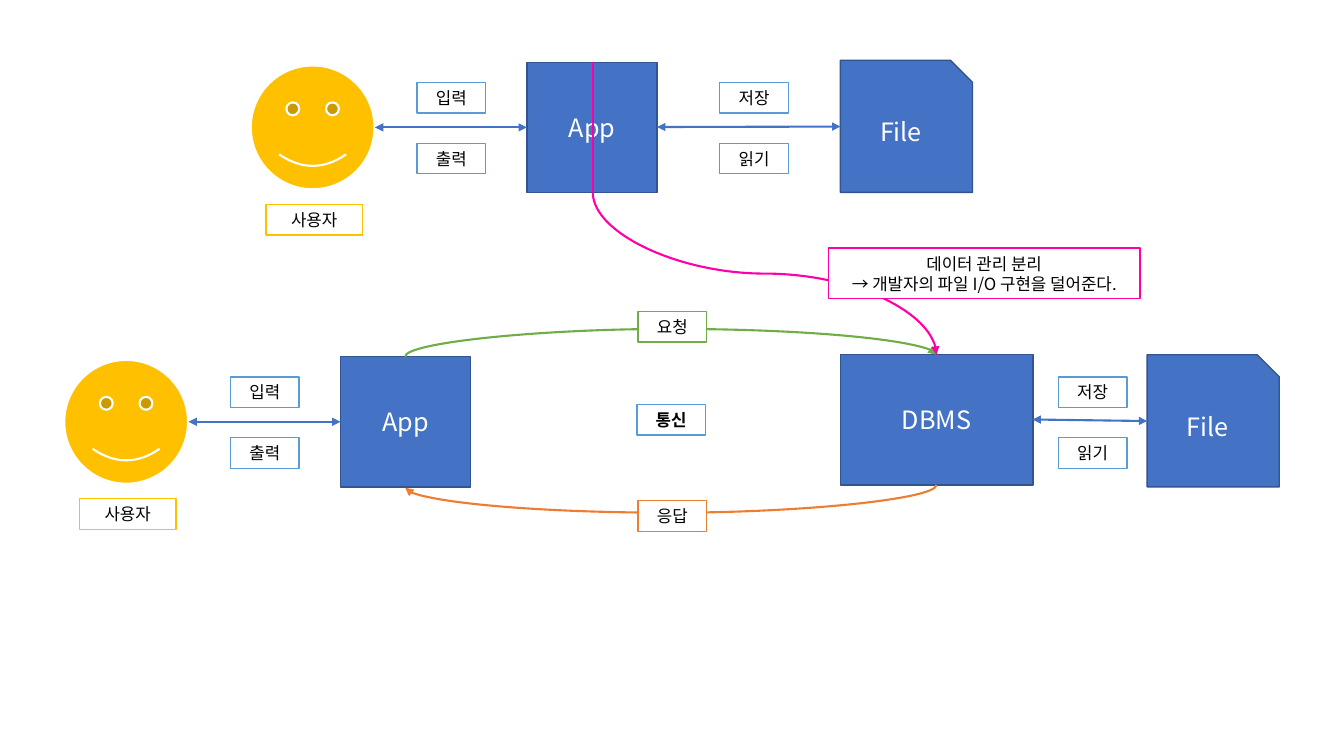
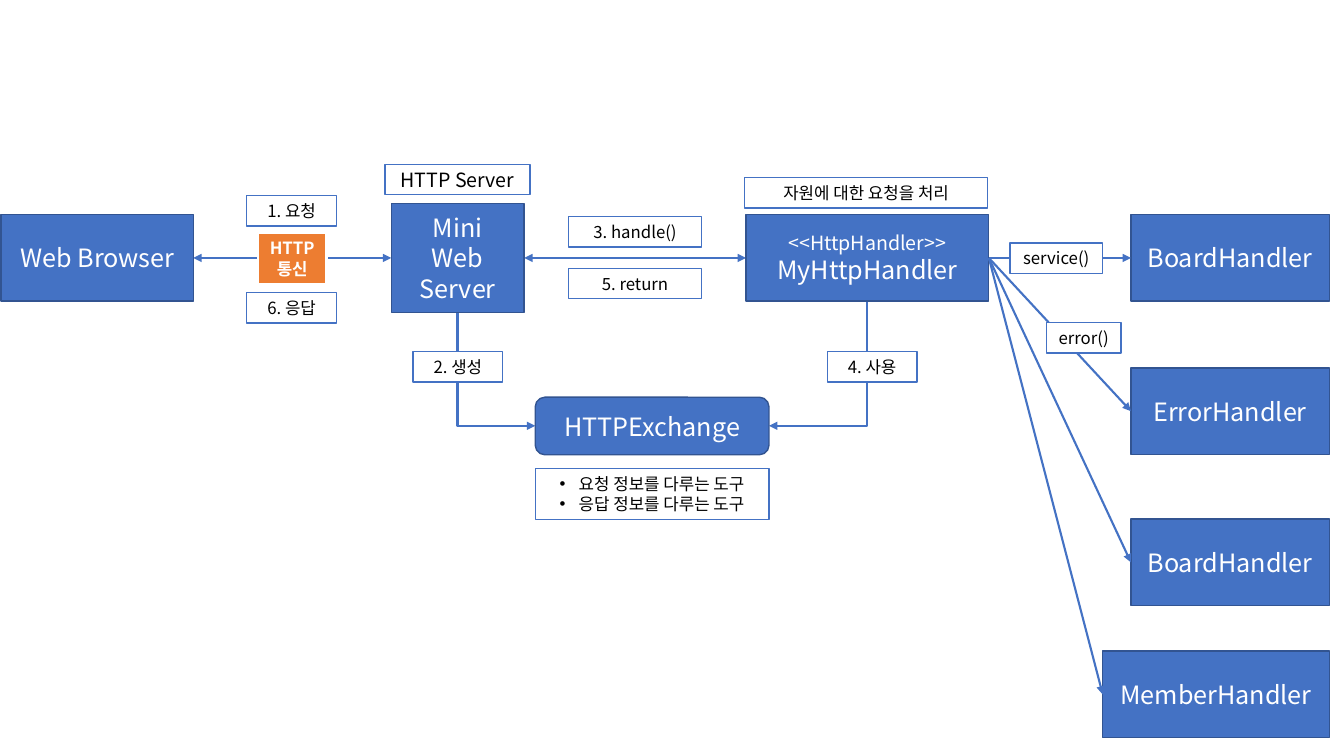
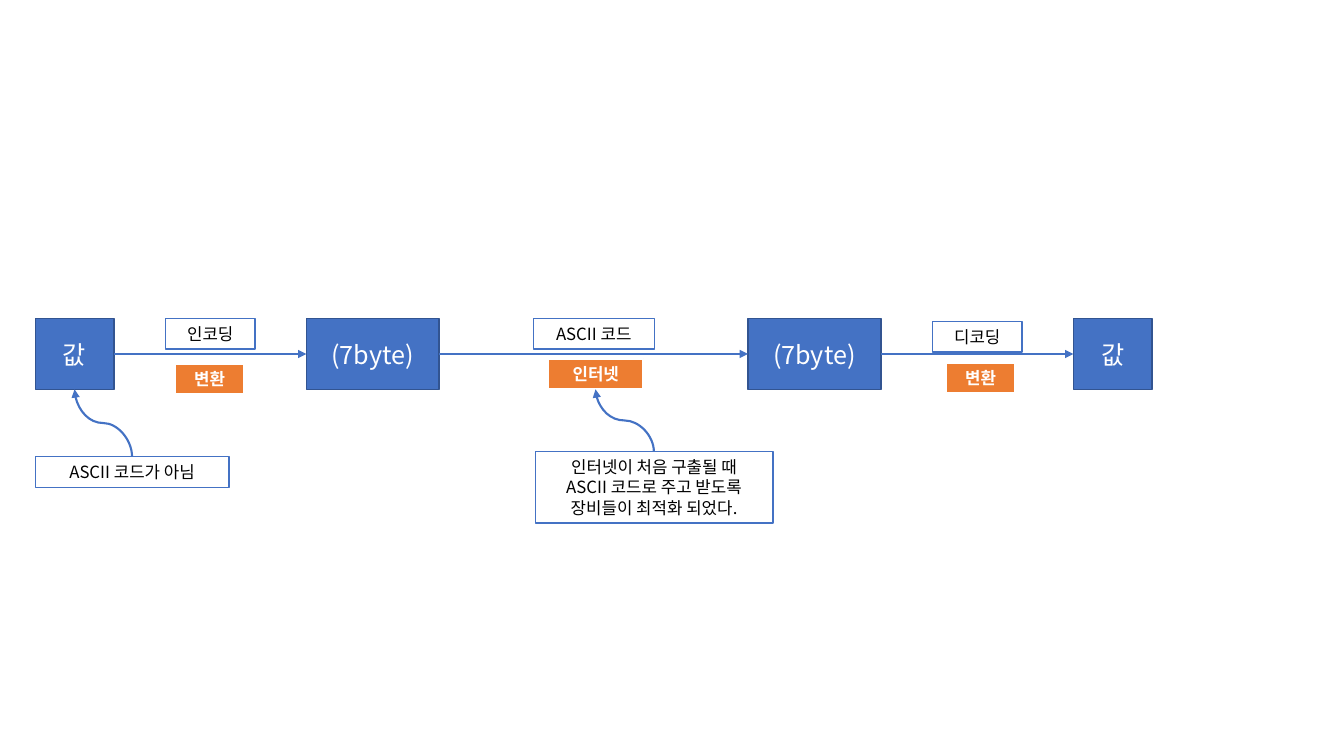
from itertools import pairwise

from lxml.etree import SubElement
from pptx import Presentation
from pptx.dml.color import RGBColor
from pptx.enum.shapes import MSO_CONNECTOR, MSO_SHAPE
from pptx.enum.text import MSO_ANCHOR, PP_ALIGN
from pptx.oxml.ns import qn
from pptx.util import Cm, Pt

BLUE = RGBColor(0x44, 0x72, 0xC4)
NAVY = RGBColor(0x32, 0x54, 0x91)
SKY = RGBColor(0x5B, 0x9B, 0xD5)
GREEN = RGBColor(0x70, 0xAD, 0x47)
ORANGE = RGBColor(0xED, 0x7D, 0x31)
YELLOW = RGBColor(0xFF, 0xC0, 0x00)
PINK = RGBColor(0xFF, 0x00, 0xA8)
WHITE = RGBColor(0xFF, 0xFF, 0xFF)
BLACK = RGBColor(0x00, 0x00, 0x00)
FONT = "Noto Sans CJK KR"


class Diagram:
    """Holds the presentation, its style and the slide being drawn."""

    def __init__(self):
        self.presentation = Presentation()
        self.presentation.slide_width = Cm(33.87)
        self.presentation.slide_height = Cm(19.05)
        self.slide = None

    def new_slide(self):
        layout = self.presentation.slide_layouts[6]
        self.slide = self.presentation.slides.add_slide(layout)

    def shape(self, kind, left, top, width, height, fill, outline, line_width=1):
        shape = self.slide.shapes.add_shape(
            kind, Cm(left), Cm(top), Cm(width), Cm(height))
        shape.shadow.inherit = False
        shape.fill.solid()
        shape.fill.fore_color.rgb = fill
        shape.line.color.rgb = outline
        shape.line.width = Pt(line_width)
        return shape

    def set_text(self, shape, text, color, sizes, bold=False, bullets=False):
        """Set one paragraph per line; the last size serves the remaining lines."""
        frame = shape.text_frame
        frame.text = text
        frame.word_wrap = True
        frame.vertical_anchor = MSO_ANCHOR.MIDDLE
        for index, paragraph in enumerate(frame.paragraphs):
            paragraph.alignment = PP_ALIGN.CENTER
            if bullets:
                properties = paragraph._p.get_or_add_pPr()
                properties.set("marL", str(Cm(0.48)))
                properties.set("indent", str(-Cm(0.48)))
                SubElement(properties, qn("a:buFont"), typeface="Arial")
                SubElement(properties, qn("a:buChar"), char="•")
            for run in paragraph.runs:
                run.font.size = Pt(sizes[min(index, len(sizes) - 1)])
                run.font.bold = bold
                run.font.color.rgb = color
                run.font.name = FONT
                SubElement(run._r.get_or_add_rPr(), qn("a:ea"), typeface=FONT)

    def block(self, text, left, top, width, height, kind=MSO_SHAPE.RECTANGLE, sizes=(18,)):
        shape = self.shape(kind, left, top, width, height, BLUE, NAVY)
        self.set_text(shape, text, WHITE, sizes)

    def label(self, text, left, top, width, height=0.77, outline=BLUE, size=12,
              bold=False, bullets=False):
        shape = self.shape(MSO_SHAPE.RECTANGLE, left, top, width, height, WHITE, outline)
        self.set_text(shape, text, BLACK, (size,), bold, bullets)

    def badge(self, text, left, top, width, height=0.77):
        shape = self.shape(MSO_SHAPE.RECTANGLE, left, top, width, height, ORANGE, WHITE, 1.5)
        self.set_text(shape, text, WHITE, (12,), bold=True)

    def connector(self, kind, start, end, color, head, tail):
        connector = self.slide.shapes.add_connector(
            kind, *(Cm(value) for value in (*start, *end)))
        connector.line.color.rgb = color
        connector.line.width = Pt(1.5)
        properties = connector._element.spPr
        line = properties.find(qn("a:ln"))
        if head:
            SubElement(line, qn("a:headEnd"), type="triangle")
        if tail:
            SubElement(line, qn("a:tailEnd"), type="triangle")
        SubElement(properties, qn("a:effectLst"))
        return connector

    def line(self, start, end, color=BLUE, head=False, tail=True):
        self.connector(MSO_CONNECTOR.STRAIGHT, start, end, color, head, tail)

    def upright(self, kind, start, end, color=BLUE):
        """Draw a connector that leaves vertically: lay it flat, then turn it 90 degrees."""
        middle_x, middle_y = (start[0] + end[0]) / 2, (start[1] + end[1]) / 2
        half_x, half_y = (end[0] - start[0]) / 2, (end[1] - start[1]) / 2
        connector = self.connector(
            kind, (middle_x - half_y, middle_y + half_x),
            (middle_x + half_y, middle_y - half_x), color, False, True)
        properties = connector._element.spPr
        properties.find(qn("a:xfrm")).set("rot", "5400000")
        return properties.find(qn("a:prstGeom"))

    def curve(self, start, end, color=BLUE, bulge=None):
        geometry = self.upright(MSO_CONNECTOR.CURVE, start, end, color)
        if bulge:
            ratio = round(bulge / abs(end[1] - start[1]) * 100000)
            adjustments = geometry.find(qn("a:avLst"))
            SubElement(adjustments, qn("a:gd"), name="adj1", fmla=f"val {ratio}")

    def elbow(self, start, end):
        self.upright(MSO_CONNECTOR.ELBOW, start, end).set("prst", "bentConnector2")

    def label_pair(self, texts, left, top):
        for index, text in enumerate(texts):
            self.label(text, left, top + index * 1.53, 1.73, outline=SKY)

    def client(self, left, top):
        """User and application with the exchange between them."""
        self.shape(MSO_SHAPE.SMILEY_FACE, left, top, 3.12, 3.12, YELLOW, WHITE, 1.5)
        self.block("App", left + 6.96, top - 0.08, 3.28, 3.28)
        self.line((left + 3.13, top + 1.56), (left + 6.96, top + 1.56), head=True)
        self.label_pair(("입력", "출력"), left + 4.19, top + 0.43)
        self.label("사용자", left + 0.38, top + 3.5, 2.44, outline=YELLOW)

    def storage(self, left, top, start, label_left):
        """File with the exchange that reaches it from start."""
        self.block("File", left, top, 3.33, 3.33, MSO_SHAPE.SNIP_1_RECTANGLE)
        self.line(start, (left, top + 1.67), head=True)
        self.label_pair(("저장", "읽기"), label_left, top + 0.56)


def draw_dbms(diagram):
    diagram.new_slide()
    diagram.client(6.32, 1.65)
    diagram.storage(21.18, 1.52, (16.56, 3.2), 18.14)
    diagram.client(1.62, 9.07)
    diagram.block("DBMS", 21.18, 8.94, 4.85, 3.28)
    diagram.storage(28.91, 8.94, (26.02, 10.57), 26.67)
    diagram.curve((10.21, 8.99), (23.6, 8.94), GREEN, bulge=0.7)
    diagram.curve((23.6, 12.22), (10.21, 12.29), ORANGE, bulge=0.7)
    diagram.label("요청", 16.08, 7.85, 1.73, outline=GREEN)
    diagram.label("응답", 16.08, 12.62, 1.73, outline=ORANGE)
    diagram.label("통신", 16.05, 10.19, 1.73, outline=SKY, bold=True)
    diagram.line((14.94, 1.57), (14.94, 4.85), PINK, tail=False)
    diagram.curve((14.94, 4.85), (23.6, 8.94), PINK)
    diagram.label("데이터 관리 분리\n→ 개발자의 파일 I/O 구현을 덜어준다.",
                  20.88, 6.25, 7.85, 1.28, outline=PINK)


def draw_web_server(diagram):
    diagram.new_slide()
    axis = 6.5
    diagram.line((4.87, axis), (9.86, axis), head=True)
    diagram.line((13.21, axis), (18.8, axis), head=True)
    diagram.elbow((21.84, 7.59), (19.38, 10.73))
    diagram.elbow((11.53, 7.87), (13.49, 10.73))

    diagram.block("Web Browser", 0.03, 5.41, 4.85, 2.18)
    diagram.block("Mini\nWeb\nServer", 9.86, 5.13, 3.35, 2.74)
    diagram.block("<<HttpHandler>>\nMyHttpHandler", 18.8, 5.41, 6.12, 2.18, sizes=(14, 18))
    diagram.block("HTTPExchange", 13.49, 10.01, 5.89, 1.45, MSO_SHAPE.ROUNDED_RECTANGLE)
    for name, left, top in (("BoardHandler", 28.5, 5.41), ("ErrorHandler", 28.5, 9.27),
                            ("BoardHandler", 28.5, 13.08), ("MemberHandler", 27.79, 16.41)):
        diagram.block(name, left, top, 33.5 - left, 2.18)
        diagram.line((24.92, axis), (left, top + 1.09))

    diagram.badge("HTTP\n통신", 6.5, 5.87, 1.73, 1.28)
    diagram.label("HTTP Server", 9.7, 4.14, 3.66, size=14)
    for text, left, top, width in (
            ("1. 요청", 6.22, 4.93, 2.26), ("2. 생성", 10.41, 8.86, 2.26),
            ("3. handle()", 14.33, 5.46, 3.35), ("4. 사용", 20.85, 8.86, 2.26),
            ("5. return", 14.33, 6.76, 3.35), ("6. 응답", 6.22, 7.37, 2.26),
            ("자원에 대한 요청을 처리", 18.77, 4.47, 6.12),
            ("service()", 25.45, 6.12, 2.34), ("error()", 26.37, 8.13, 1.88)):
        diagram.label(text, left, top, width)
    diagram.label("요청 정보를 다루는 도구\n응답 정보를 다루는 도구",
                  13.49, 11.81, 5.89, 1.28, bullets=True)


def draw_encoding(diagram):
    diagram.new_slide()
    stages = (("값", 0.89, 1.98), ("(7byte)", 7.72, 3.35),
              ("(7byte)", 18.85, 3.35), ("값", 27.05, 1.98))
    for text, left, width in stages:
        diagram.block(text, left, 8.03, width, 1.78)
    for (_, left, width), (_, next_left, _) in pairwise(stages):
        diagram.line((left + width, 8.92), (next_left, 8.92))

    diagram.label("인코딩", 4.17, 8.03, 2.26)
    diagram.label("ASCII 코드", 13.44, 8.03, 3.05)
    diagram.label("디코딩", 23.5, 8.1, 2.26)
    diagram.badge("변환", 4.42, 9.17, 1.73)
    diagram.badge("인터넷", 13.82, 9.04, 2.39)
    diagram.badge("변환", 23.85, 9.14, 1.73)
    diagram.label("ASCII 코드가 아님", 0.89, 11.51, 4.88)
    diagram.curve((3.33, 11.51), (1.88, 9.81))
    diagram.label("인터넷이 처음 구출될 때\nASCII 코드로 주고 받도록 장비들이 최적화 되었다.",
                  13.49, 11.38, 5.99, 1.8)
    diagram.curve((16.48, 11.38), (15.01, 9.81))


def main():
    diagram = Diagram()
    draw_dbms(diagram)
    draw_web_server(diagram)
    draw_encoding(diagram)
    diagram.presentation.save("out.pptx")


if __name__ == "__main__":
    main()
